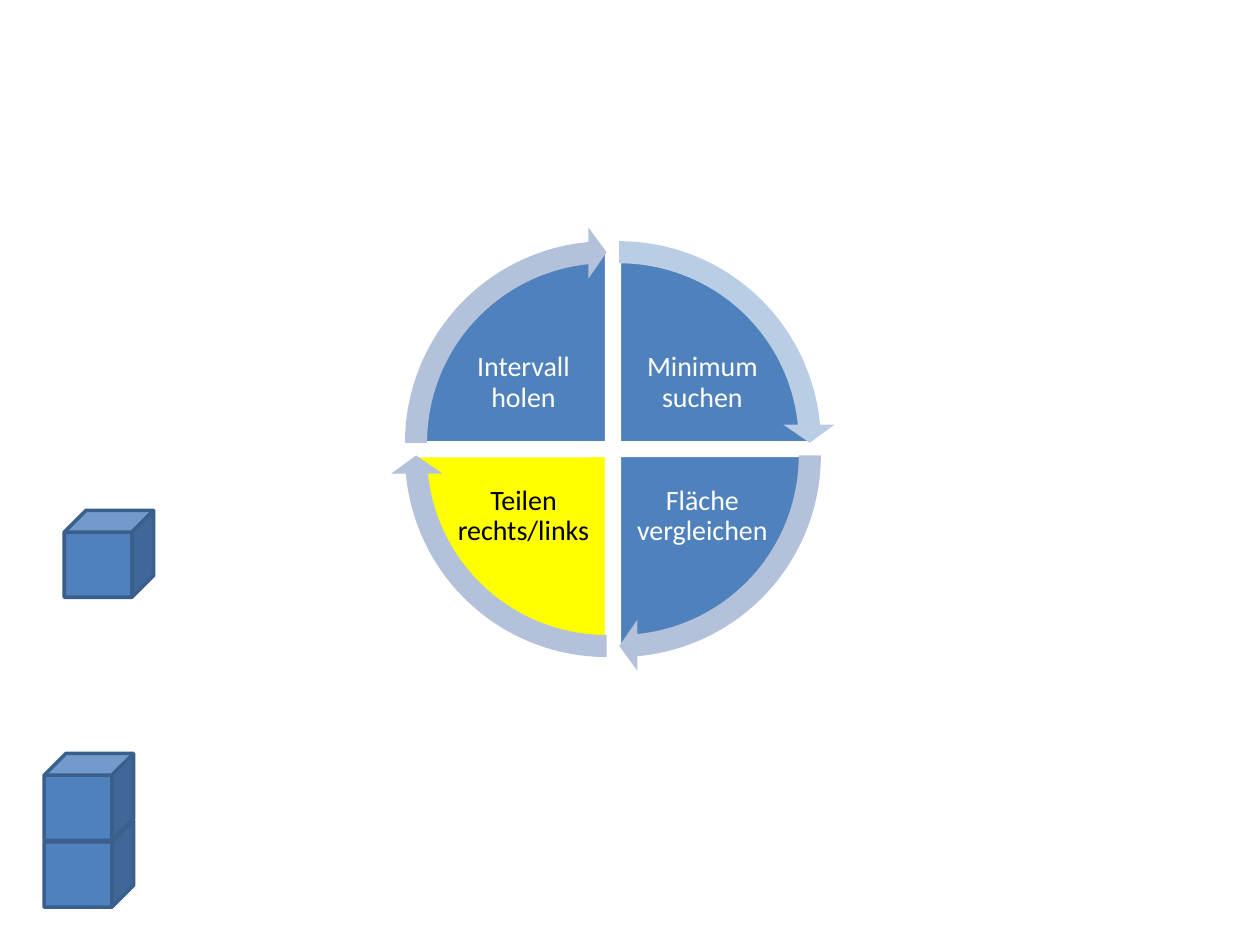
from pptx import Presentation
from pptx.dml.color import RGBColor
from pptx.enum.shapes import MSO_SHAPE
from pptx.enum.text import MSO_ANCHOR, PP_ALIGN
from pptx.util import Emu, Pt

CUBE, PIE, ARROW = MSO_SHAPE.CUBE, MSO_SHAPE.PIE, MSO_SHAPE.CIRCULAR_ARROW
MIDDLE, CENTER = MSO_ANCHOR.MIDDLE, PP_ALIGN.CENTER

SCALE = 9144  # EMU per px, 100 px to the inch
BLUE, EDGE, WHITE = "4F81BD", "3A5F8C", "FFFFFF"
TURN = 54  # a quarter turn in adjustment units

# Label, fill, text colour, arrow colour, column, row, clockwise from top right
STEPS = [
    ("Minimum suchen", BLUE, WHITE, "B9CDE5", 1, 0),
    ("Fläche vergleichen", BLUE, WHITE, "B3C1DB", 1, 1),
    ("Teilen rechts/links", "FFFF00", "000000", "B3C1DB", 0, 1),
    ("Intervall holen", BLUE, WHITE, "B3C1DB", 0, 0),
]


def px(*nums):
    return [Emu(n * SCALE) for n in nums]


def color(code):
    return RGBColor.from_string(code)


def add_part(slide, kind, box, fill, line=None, adjust=()):
    part = slide.shapes.add_shape(kind, *px(*box))
    part.shadow.inherit = False
    part.fill.solid()
    part.fill.fore_color.rgb = color(fill)
    if line:
        part.line.color.rgb = color(line)
        part.line.width = Pt(2)
    else:
        part.line.fill.background()
    for i, value in enumerate(adjust):
        part.adjustments[i] = value


def add_text(slide, text, box, size=16, ink=WHITE, font="Calibri"):
    frame = slide.shapes.add_textbox(*px(*box)).text_frame
    frame.word_wrap = True
    frame.vertical_anchor = MIDDLE
    pad, = px(2)
    frame.margin_left = frame.margin_right = pad
    frame.margin_top = frame.margin_bottom = pad
    para = frame.paragraphs[0]
    para.alignment = CENTER
    para.line_spacing = 0.9
    run = para.add_run()
    run.text = text
    run.font.size = Pt(size)
    run.font.name = font
    run.font.color.rgb = color(ink)


def add_stack(slide, left, top, count):
    """Cubes piled from the bottom up, each one 53 px above the last."""
    for level in reversed(range(count)):
        box = (left, top + 53 * level, 71, 69)
        add_part(slide, CUBE, box, BLUE, EDGE)


def add_cycle(slide, left, top):
    """Four labelled quarters inside a ring of arrows."""
    gap = 10
    starts = [(3 + i) % 4 * TURN for i in range(4)]

    # Quarters and labels
    for (label, fill, ink, _, col, row), start in zip(STEPS, starts):
        box = (left + 19 + gap * col, top + 19 + gap * row, 305, 305)
        add_part(slide, PIE, box, fill, WHITE, (start, (start + TURN) % 216))
        box = (left + 49 + 142 * col, top + 82 + 106 * row, 113, 84)
        add_text(slide, label, box, ink=ink)

    # Ring of arrows
    for (_, _, _, tint, col, row), start in zip(STEPS, starts):
        box = (left + gap * col, top + gap * row, 343, 343)
        bend = (0.051, 3.275, start + 50.725, start, 0.059)
        add_part(slide, ARROW, box, tint, adjust=bend)


def main():
    deck = Presentation()
    deck.slide_width, deck.slide_height = px(1000, 750)
    slide = deck.slides.add_slide(deck.slide_layouts[6])
    add_stack(slide, 51, 405, 1)
    add_stack(slide, 35, 598, 2)
    add_cycle(slide, 310, 180)
    deck.save("out.pptx")


if __name__ == "__main__":
    main()
